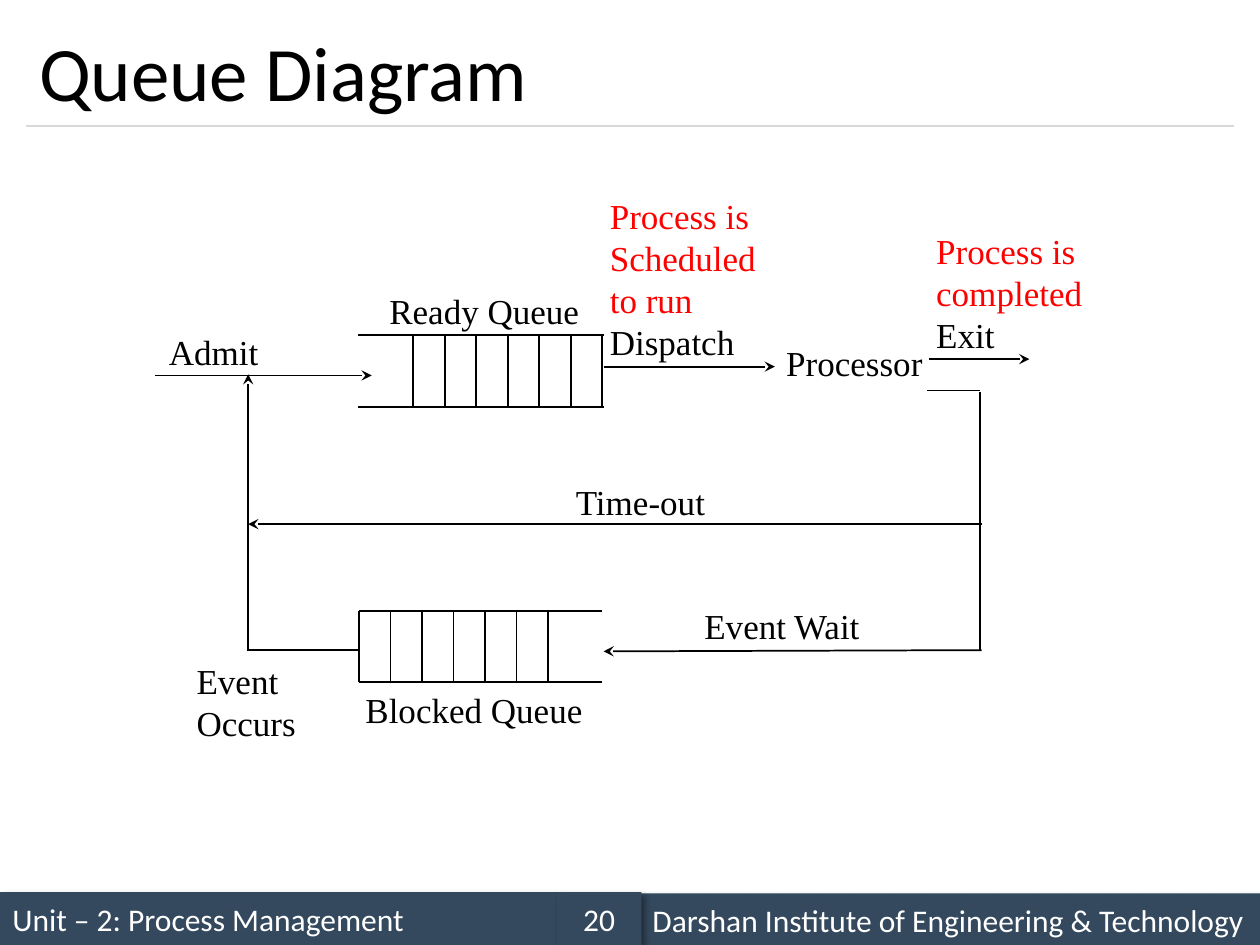
"""Build a slide that shows a process queue diagram."""
import dataclasses
import typing

import lxml.etree
import pptx
import pptx.dml.color
import pptx.enum.shapes
import pptx.enum.text
import pptx.oxml
import pptx.oxml.ns
import pptx.util

SCALE = 9144
COLORS = {"ink": "000000", "alert": "FF0000", "bar": "34495E", "rule": "D9D9D9", "white": "FFFFFF"}
ALIGN = pptx.enum.text.PP_ALIGN
ANCHOR = pptx.enum.text.MSO_ANCHOR
SIZING = pptx.enum.text.MSO_AUTO_SIZE
LABEL = {"name": "Times New Roman", "size": pptx.util.Pt(20)}
FOOT = {"name": "Calibri", "size": pptx.util.Pt(18)}
HEAD = {"name": "Calibri", "size": pptx.util.Pt(44)}
BLEED = {"word_wrap": False, "auto_size": SIZING.SHAPE_TO_FIT_TEXT,
         "margin_left": 7 * SCALE, "margin_right": 7 * SCALE,
         "margin_top": 4 * SCALE, "margin_bottom": 4 * SCALE}
MIDDLE = {"word_wrap": True, "vertical_anchor": ANCHOR.MIDDLE}
SHADOW = (
    '<a:effectLst xmlns:a="http://schemas.openxmlformats.org/drawingml/2006/main">'
    '<a:outerShdw blurRad="50800" dist="38100" dir="2700000" algn="tl" rotWithShape="0">'
    '<a:srgbClr val="000000"><a:alpha val="40000"/></a:srgbClr>'
    "</a:outerShdw></a:effectLst>"
)


@dataclasses.dataclass
class Line:
    x1: int
    y1: int
    x2: int
    y2: int
    arrow: bool = False


@dataclasses.dataclass
class Label:
    x: int
    y: int
    w: int
    h: int
    plain: tuple
    alert: tuple = ()


@dataclasses.dataclass
class Queue:
    left: int
    right: int
    top: int
    base: int
    wall: int
    bars: range


@dataclasses.dataclass
class Panel:
    x: int
    y: int
    w: int
    text: str
    align: typing.Any = ALIGN.LEFT


QUEUES = [
    Queue(285, 478, 485, 541, 285, range(310, 436, 25)),
    Queue(284, 479, 266, 323, 478, range(328, 454, 25)),
]
FLOWS = [
    Line(123, 298, 295, 298, True),
    Line(479, 291, 615, 291, True),
    Line(737, 285, 817, 285, True),
    Line(285, 516, 197, 516),
    Line(197, 517, 197, 297, True),
    Line(736, 310, 778, 310),
    Line(778, 311, 778, 516),
    Line(779, 516, 479, 517, True),
    Line(779, 416, 197, 416, True),
]
LABELS = [
    Label(127, 258, 87, 41, ("Admit",)),
    Label(302, 226, 167, 41, ("Ready Queue",)),
    Label(477, 150, 133, 142, ("Dispatch",), ("Process is", "Scheduled", "to run")),
    Label(450, 377, 118, 41, ("Time-out",)),
    Label(552, 476, 139, 41, ("Event Wait",)),
    Label(736, 178, 139, 108, ("Exit",), ("Process is", "completed")),
    Label(617, 267, 124, 41, ("Processor",)),
    Label(283, 542, 189, 41, ("Blocked Queue",)),
    Label(149, 519, 94, 75, ("Event", "Occurs")),
]
PANELS = [
    Panel(0, 708, 442, "Unit – 2: Process Management"),
    Panel(508, 709, 492, "Darshan Institute of Engineering & Technology"),
    Panel(442, 708, 67, "20", ALIGN.CENTER),
]


def px(*sizes: int) -> list[int]:
    return [size * SCALE for size in sizes]


def tint(key: str) -> pptx.dml.color.RGBColor:
    return pptx.dml.color.RGBColor.from_string(COLORS[key])


def apply(target: typing.Any, style: dict) -> None:
    for key, value in style.items():
        setattr(target, key, value)


def write(para: typing.Any, text: str, style: dict, color: str) -> None:
    para.text = text
    apply(para.font, style)
    para.font.color.rgb = tint(color)


def draw_line(shapes: typing.Any, line: Line, color: str = "ink", width: float = 1) -> None:
    kind = pptx.enum.shapes.MSO_CONNECTOR.STRAIGHT
    wire = shapes.add_connector(kind, *px(line.x1, line.y1, line.x2, line.y2))
    wire.line.color.rgb = tint(color)
    wire.line.width = pptx.util.Pt(width)
    if line.arrow:
        node = wire.line._get_or_add_ln()
        lxml.etree.SubElement(node, pptx.oxml.ns.qn("a:tailEnd"), type="stealth")
    lxml.etree.SubElement(wire._element.spPr, pptx.oxml.ns.qn("a:effectLst"))


def draw_queue(shapes: typing.Any, queue: Queue) -> None:
    for y in (queue.top, queue.base):
        draw_line(shapes, Line(queue.left, y, queue.right, y))
    for x in (queue.wall, *queue.bars):
        draw_line(shapes, Line(x, queue.top, x, queue.base))


def draw_label(shapes: typing.Any, label: Label) -> None:
    frame = shapes.add_textbox(*px(label.x, label.y, label.w, label.h)).text_frame
    apply(frame, BLEED)
    rows = [(text, "alert") for text in label.alert] + [(text, "ink") for text in label.plain]
    for spot, (text, color) in enumerate(rows):
        para = frame.add_paragraph() if spot else frame.paragraphs[0]
        write(para, text, LABEL, color)


def draw_panel(shapes: typing.Any, panel: Panel) -> None:
    kind = pptx.enum.shapes.MSO_SHAPE.RECTANGLE
    shape = shapes.add_shape(kind, *px(panel.x, panel.y, panel.w, 42))
    shape.fill.solid()
    shape.fill.fore_color.rgb = tint("bar")
    shape.line.fill.background()
    shape._element.spPr.append(pptx.oxml.parse_xml(SHADOW))
    apply(shape.text_frame, MIDDLE)
    para = shape.text_frame.paragraphs[0]
    para.alignment = panel.align
    write(para, panel.text, FOOT, "white")


def draw_title(title: typing.Any, text: str) -> None:
    apply(title, dict(zip(("left", "top", "width", "height"), px(21, 12, 958, 88))))
    apply(title.text_frame, MIDDLE)
    para = title.text_frame.paragraphs[0]
    para.alignment = ALIGN.LEFT
    write(para, text, HEAD, "ink")


def main() -> None:
    deck = pptx.Presentation()
    deck.slide_width, deck.slide_height = px(1000, 750)
    shapes = deck.slides.add_slide(deck.slide_layouts[5]).shapes
    draw_title(shapes.title, "Queue Diagram")
    draw_line(shapes, Line(21, 100, 979, 100), "rule", 0.75)
    for draw, items in ((draw_panel, PANELS), (draw_queue, QUEUES),
                        (draw_line, FLOWS), (draw_label, LABELS)):
        for item in items:
            draw(shapes, item)
    deck.save("out.pptx")


if __name__ == "__main__":
    main()
